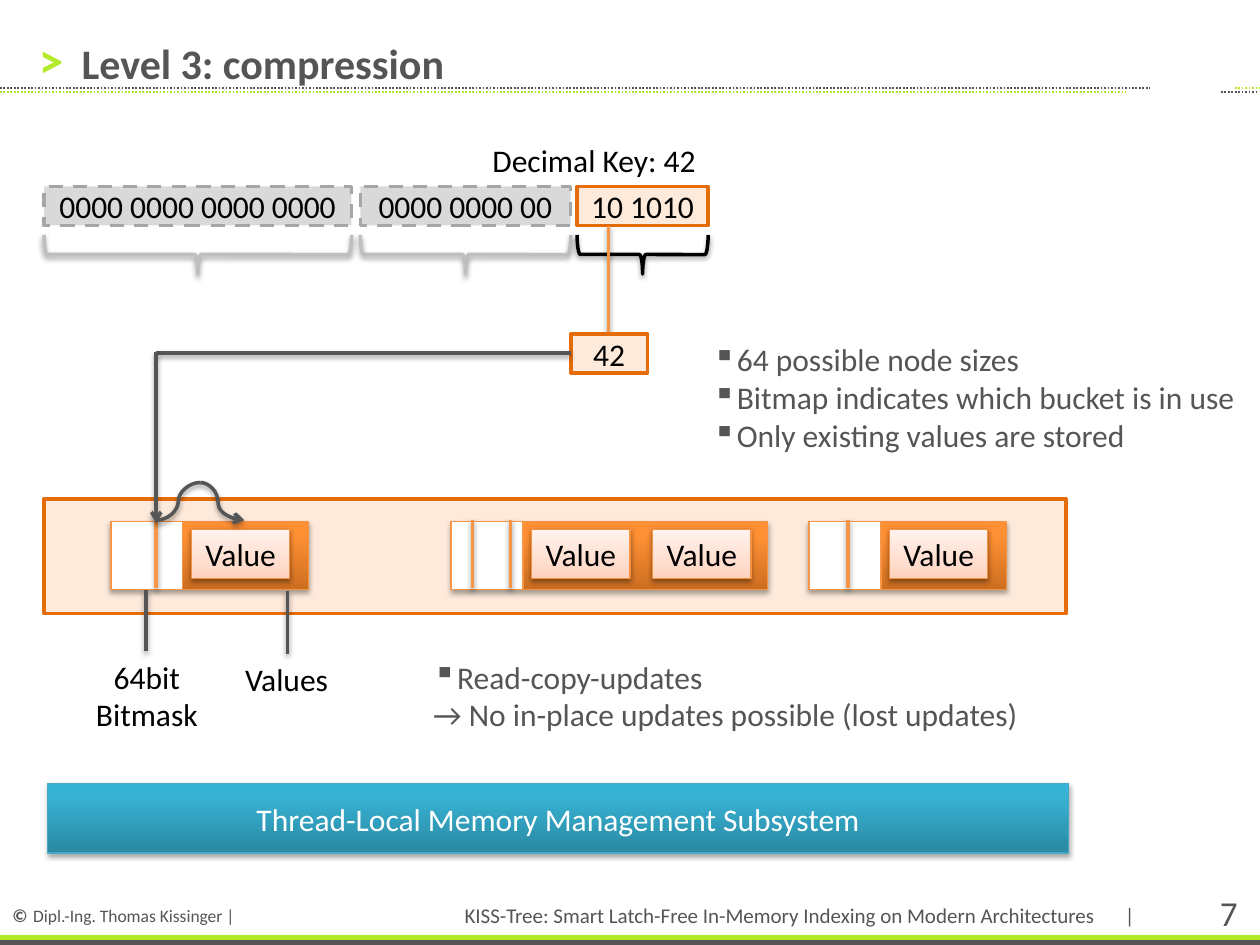
from dataclasses import dataclass

from lxml.etree import SubElement
from pptx import Presentation
from pptx.dml.color import RGBColor
from pptx.enum.dml import MSO_LINE
from pptx.enum.shapes import MSO_CONNECTOR, MSO_SHAPE
from pptx.enum.text import MSO_ANCHOR, PP_ALIGN
from pptx.oxml.ns import qn
from pptx.util import Inches, Pt

COLORS = {
    "text": "555555", "green": "B2E928", "black": "000000", "white": "FFFFFF",
    "unused": "D9D9D9", "unused_edge": "A6A6A6", "unused_brace": "BFBFBF",
    "peach": "FDEADB", "edge": "E46C0A", "orange": "F79646",
    "node_edge": "F69240", "teal_edge": "46AAC5",
}
GRADIENTS = {
    "node": [(0, "CC6E20"), (80, "FF9034"), (100, "FF9136")],
    "value": [(0, "FFD2BD"), (35, "FFDED0"), (100, "FFF2ED")],
    "teal": [(0, "2A88A2"), (80, "37B1D2"), (100, "34B4D6")],
}
FONT = "Calibri"
BODY = 18
LEFT, CENTER, RIGHT = PP_ALIGN.LEFT, PP_ALIGN.CENTER, PP_ALIGN.RIGHT
TOP, MIDDLE = MSO_ANCHOR.TOP, MSO_ANCHOR.MIDDLE


@dataclass
class Run:
    text: str
    size: float = BODY
    color: str = "text"
    bold: bool = False


@dataclass
class KeyPart:
    left: float
    width: float
    bits: str
    used: bool = False


@dataclass
class Node:
    left: float
    width: float
    dividers: list[float]
    values: list[float]


KEY_PARTS = [
    KeyPart(0.35, 2.44, "0000 0000 0000 0000"),
    KeyPart(2.86, 1.67, "0000 0000 00"),
    KeyPart(4.58, 1.04, "10 1010", used=True),
]
NODES = [
    Node(3.58, 2.51, [3.75, 4.05], [4.22, 5.18]),
    Node(6.42, 1.57, [6.73], [7.06]),
    Node(0.88, 1.57, [1.24], [1.52]),
]

presentation = Presentation()
presentation.slide_width = Inches(10)
presentation.slide_height = Inches(7.5)
slide = presentation.slides.add_slide(presentation.slide_layouts[6])


def rgb(name: str) -> RGBColor:
    return RGBColor.from_string(COLORS[name])


def set_shadow(shape, opacity: int | None) -> None:
    """Replace the theme shadow by a soft one below, or by none."""
    properties = shape._element.spPr
    effects = properties.find(qn("a:effectLst"))
    if effects is None:
        effects = SubElement(properties, qn("a:effectLst"))
    if opacity:
        shadow = SubElement(effects, qn("a:outerShdw"), blurRad=str(Pt(3.1)), dist=str(Pt(1.6)),
                            dir="5400000", rotWithShape="0")
        color = SubElement(shadow, qn("a:srgbClr"), val=COLORS["black"])
        SubElement(color, qn("a:alpha"), val=str(opacity * 1000))


def set_gradient(shape, name: str) -> None:
    """Fill from bottom to top with the named stops."""
    shape.fill.gradient()
    shape.fill.gradient_angle = 90
    stops = shape._element.spPr.find(".//" + qn("a:gsLst"))
    stops.clear()
    for position, color in GRADIENTS[name]:
        stop = SubElement(stops, qn("a:gs"), pos=str(position * 1000))
        SubElement(stop, qn("a:srgbClr"), val=color)


def write_paragraph(paragraph, runs: list[Run], align=LEFT, bullet: bool = False) -> None:
    if bullet:
        properties = paragraph._p.get_or_add_pPr()
        properties.set("marL", str(Inches(0.19)))
        properties.set("indent", str(Inches(-0.19)))
        SubElement(properties, qn("a:buChar"), char="▪")
    paragraph.alignment = align
    for item in runs:
        run = paragraph.add_run()
        run.text = item.text
        run.font.name = FONT
        run.font.size = Pt(item.size)
        run.font.bold = item.bold
        run.font.color.rgb = rgb(item.color)


def add_text(left: float, top: float, width: float, height: float, runs: list[Run],
             align=LEFT, anchor=TOP, margin: float | None = None):
    frame = slide.shapes.add_textbox(Inches(left), Inches(top), Inches(width), Inches(height)).text_frame
    frame.word_wrap = True
    frame.vertical_anchor = anchor
    if margin is not None:
        frame.margin_left = frame.margin_right = Inches(margin)
        frame.margin_top = frame.margin_bottom = Inches(margin)
    write_paragraph(frame.paragraphs[0], runs, align)


def add_list(left: float, top: float, width: float, height: float, lines: list[tuple[str, bool]]) -> None:
    """Write one paragraph for each pair of text and bullet flag."""
    frame = slide.shapes.add_textbox(Inches(left), Inches(top), Inches(width), Inches(height)).text_frame
    frame.word_wrap = True
    for index, (text, bullet) in enumerate(lines):
        paragraph = frame.add_paragraph() if index else frame.paragraphs[0]
        write_paragraph(paragraph, [Run(text)], bullet=bullet)


def add_box(left: float, top: float, width: float, height: float, fill: str | None,
            edge: str | None = None, weight: float = 2, text: str = "", text_color: str = "black",
            shadow: int | None = None, kind=MSO_SHAPE.RECTANGLE):
    shape = slide.shapes.add_shape(kind, Inches(left), Inches(top), Inches(width), Inches(height))
    if fill is None:
        shape.fill.background()
    elif fill in GRADIENTS:
        set_gradient(shape, fill)
    else:
        shape.fill.solid()
        shape.fill.fore_color.rgb = rgb(fill)
    if edge is None:
        shape.line.fill.background()
    else:
        shape.line.color.rgb = rgb(edge)
        shape.line.width = Pt(weight)
    set_shadow(shape, shadow)
    if text:
        shape.text_frame.word_wrap = True
        shape.text_frame.vertical_anchor = MIDDLE
        write_paragraph(shape.text_frame.paragraphs[0], [Run(text, color=text_color)], CENTER)
    return shape


def add_line(x1: float, y1: float, x2: float, y2: float, color: str = "text", weight: float = 2,
             dash=None, arrow: bool = False, shadow: int | None = 38, kind=MSO_CONNECTOR.STRAIGHT):
    line = slide.shapes.add_connector(kind, Inches(x1), Inches(y1), Inches(x2), Inches(y2))
    line.line.color.rgb = rgb(color)
    line.line.width = Pt(weight)
    if dash:
        line.line.dash_style = dash
    if arrow:
        SubElement(line.line._get_or_add_ln(), qn("a:tailEnd"), type="arrow")
    set_shadow(line, shadow)
    return line


def add_frame() -> None:
    add_text(0, 7.08, 2.19, 0.34, [Run("©", 10.5, bold=True), Run(" ", 14),
                                   Run("Dipl.-Ing. Thomas Kissinger |", 10)])
    add_box(0, 7.46, 10, 0.04, "text")
    add_box(0, 7.42, 10, 0.04, "green")
    for x1, x2, y, color in [(9.69, 9.99, 0.73, "text"), (9.8, 10, 0.7, "green"),
                             (0, 9.13, 0.7, "text"), (0, 8.94, 0.73, "green")]:
        add_line(x1, y, x2, y, color, 1, MSO_LINE.ROUND_DOT, shadow=None)
    add_text(8.83, 7.11, 0.23, 0.31, [Run("|", 12)], RIGHT)
    add_text(9.14, 7.03, 0.78, 0.44, [Run("7", 20)], RIGHT)
    add_text(0.31, 0.23, 0.23, 0.47, [Run(">", 28, "green", True)], anchor=MIDDLE, margin=0)
    add_text(0.55, 0.22, 5.63, 0.56, [Run("Level 3: compression", 24, bold=True)], anchor=MIDDLE)
    add_text(2.97, 7.11, 5.86, 0.3, [Run(
        "KISS-Tree: Smart Latch-Free In-Memory Indexing on Modern Architectures ", 12)], RIGHT, MIDDLE)


def add_key_part(part: KeyPart) -> None:
    fill, edge, brace_color = (("peach", "edge", "black") if part.used
                               else ("unused", "unused_edge", "unused_brace"))
    box = add_box(part.left, 1.48, part.width, 0.31, fill, edge, text=part.bits)
    if not part.used:
        box.line.dash_style = MSO_LINE.DASH
    depth, middle_y = 0.31, 2.02
    brace = add_box(part.left + (part.width - depth) / 2, middle_y - part.width / 2, depth, part.width,
                    None, brace_color, shadow=38, kind=MSO_SHAPE.RIGHT_BRACE)
    brace.rotation = 90


def add_node(node: Node) -> None:
    add_box(node.left, 4.14, node.width, 0.54, "node", "node_edge", 0.75, shadow=35)
    add_box(node.left, 4.14, 0.57, 0.54, "white", "orange", 1)
    for x in node.dividers:
        add_line(x, 4.13, x, 4.67, "orange")
    for left in node.values:
        add_box(left, 4.2, 0.78, 0.39, "value", "node_edge", 0.75, "Value", shadow=38)


add_frame()
add_text(3.16, 1.07, 2.46, 0.4, [Run("Decimal Key: 42", color="black")], RIGHT)
for key_part in KEY_PARTS:
    add_key_part(key_part)
add_box(0.35, 3.96, 8.11, 0.91, "peach", "edge")
for tree_node in NODES:
    add_node(tree_node)

add_line(1.16, 4.68, 1.16, 5.17)
add_text(0.57, 5.17, 1.19, 0.71, [Run("64bit Bitmask", color="black")], CENTER)
add_line(2.28, 4.69, 2.28, 5.19)
add_text(1.68, 5.19, 1.19, 0.4, [Run("Values", color="black")], CENTER)

add_line(4.83, 1.79, 4.83, 2.65, "orange")
add_box(4.53, 2.65, 0.61, 0.31, "peach", "edge", text="42")
add_line(4.53, 2.8, 1.24, 2.8)
add_line(1.24, 2.79, 1.24, 4.15, arrow=True)
falling_curve = add_line(1.59, 3.83, 1.94, 4.13, arrow=True, kind=MSO_CONNECTOR.CURVE)
adjustments = falling_curve._element.spPr.prstGeom.get_or_add_avLst()
SubElement(adjustments, qn("a:gd"), name="adj1", fmla="val 40000")
add_line(1.24, 4.13, 1.59, 3.83, kind=MSO_CONNECTOR.CURVE)

add_list(5.56, 2.65, 4.57, 1.01, [("64 possible node sizes", True),
                                  ("Bitmap indicates which bucket is in use", True),
                                  ("Only existing values are stored", True)])
add_box(0.38, 6.22, 8.1, 0.55, "teal", "teal_edge", 0.75,
        "Thread-Local Memory Management Subsystem", "white", 35)
add_list(3.34, 5.17, 5.44, 0.71, [("Read-copy-updates", True),
                                  ("→ No in-place updates possible (lost updates)", False)])
presentation.save("out.pptx")
